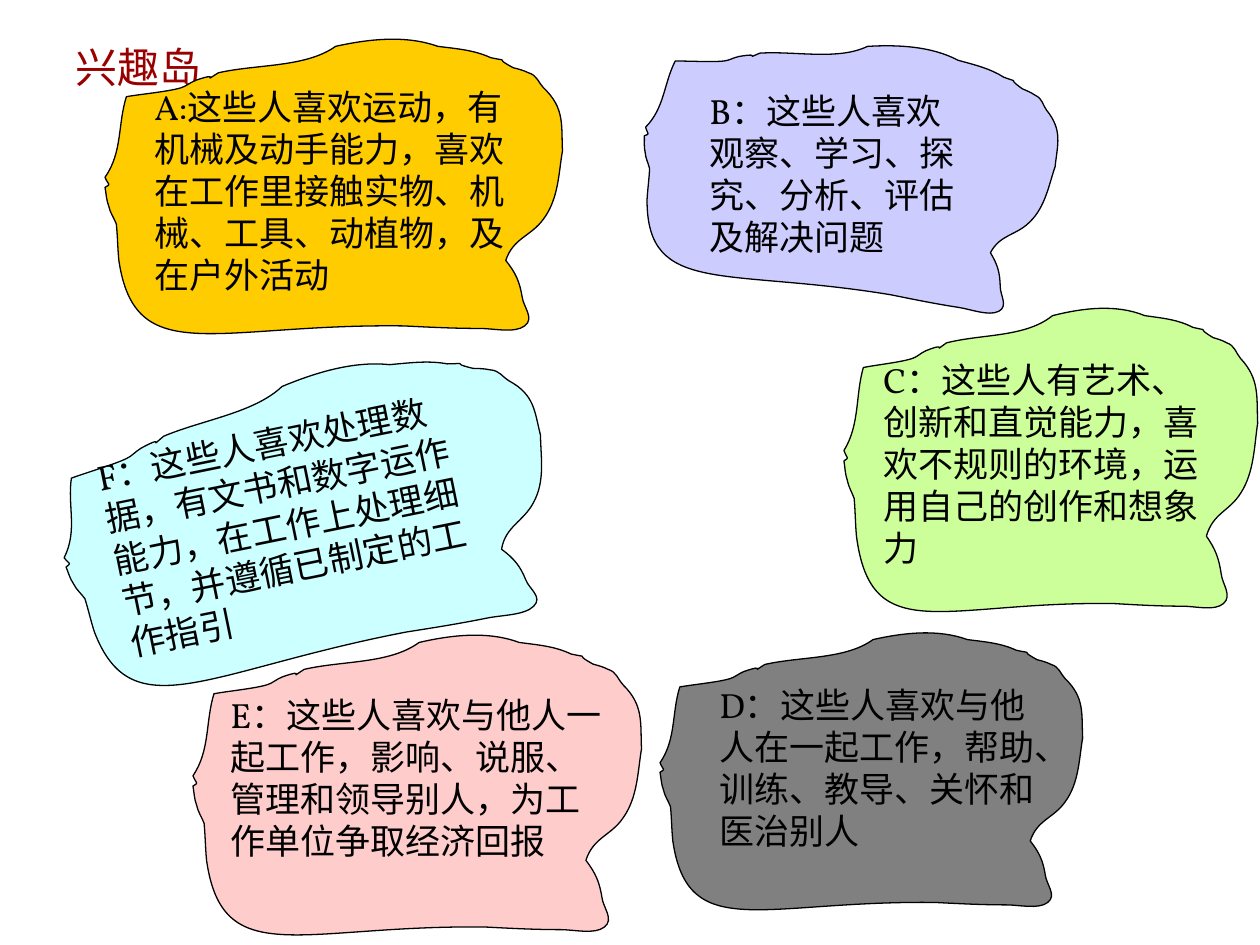
from pptx import Presentation
from pptx.dml.color import RGBColor
from pptx.enum.text import MSO_ANCHOR, MSO_AUTO_SIZE
from pptx.oxml.ns import qn
from pptx.util import Emu, Pt
from lxml.etree import SubElement

EMU_PER_PX = 914400 / 126

# Island outline on a 365 x 266 grid: start point, then three points per curve
OUTLINE_WIDTH, OUTLINE_HEIGHT = 365, 266
START = (0, 121)
CURVES = [
    [(1, 126), (1, 131), (3, 136)],
    [(4, 141), (7, 145), (9, 150)],
    [(10, 160), (10, 169), (11, 179)],
    [(24, 266), (88, 229), (237, 231)],
    [(257, 232), (277, 233), (297, 233)],
    [(309, 233), (325, 237), (333, 231)],
    [(341, 225), (332, 216), (331, 208)],
    [(329, 196), (326, 189), (318, 179)],
    [(324, 161), (338, 160), (348, 146)],
    [(360, 130), (360, 109), (363, 92)],
    [(362, 72), (365, 58), (348, 42)],
    [(344, 38), (343, 32), (336, 30)],
    [(332, 28), (328, 27), (324, 26)],
    [(305, 16), (325, 22), (306, 18)],
    [(293, 12), (280, 11), (264, 9)],
    [(239, 0), (210, 3), (183, 9)],
    [(159, 26), (121, 23), (90, 30)],
    [(74, 40), (95, 28), (72, 36)],
    [(67, 38), (64, 41), (60, 42)],
    [(50, 45), (28, 47), (17, 49)],
    [(10, 71), (14, 93), (0, 113)],
    [(3, 120), (5, 118), START],
]

# Island box, island rotation, fill, text box, text rotation, text
ISLANDS = [
    ((105, 35, 460, 335), 0, "FFCC00", (142, 79, 394, 223), 0,
     "A:这些人喜欢运动，有机械及动手能力，喜欢在工作里接触实物、机械、工具、动植物，及在户外活动"),
    ((640, 35, 413, 290), 8.7, "CCCCFF", (697, 83, 284, 181), 0,
     "B：这些人喜欢观察、学习、探究、分析、评估及解决问题"),
    ((844, 304, 416, 345), 0, "CCFF99", (871, 352, 352, 223), 0,
     "C：这些人有艺术、创新和直觉能力，喜欢不规则的环境，运用自己的创作和想象力"),
    ((660, 629, 425, 315), 0, "808080", (707, 677, 349, 181), 0,
     "D：这些人喜欢与他人在一起工作，帮助、训练、教导、关怀和医治别人"),
    ((193, 631, 451, 341), 0, "FFCCCC", (218, 687, 403, 181), 0,
     "E：这些人喜欢与他人一起工作，影响、说服、管理和领导别人，为工作单位争取经济回报"),
    ((64, 373, 494, 318), -11.5, "CCFFFF", (98, 413, 388, 223), -11.5,
     "F：这些人喜欢处理数据，有文书和数字运作能力，在工作上处理细节，并遵循已制定的工作指引"),
]


def px(length):
    return Emu(round(length * EMU_PER_PX))


def color(hex_string):
    return RGBColor.from_string(hex_string)


def set_attributes(target, values):
    for name, value in values.items():
        setattr(target, name, value)


def add_text(shapes, box, text, font, font_color, frame, rotation=0):
    shape = shapes.add_textbox(*map(px, box))
    shape.rotation = rotation
    set_attributes(shape.text_frame, {"word_wrap": True, **frame})
    paragraph = shape.text_frame.paragraphs[0]
    run = paragraph.add_run()
    run.text = text
    set_attributes(run.font, font)
    run.font.color.rgb = color(font_color)


def bend_segments(shape):
    """Turn each three straight segments into one Bezier curve."""
    outline = shape._element.find(".//" + qn("a:path"))
    lines = outline.findall(qn("a:lnTo"))
    for first in range(0, len(lines), 3):
        curve = SubElement(outline, qn("a:cubicBezTo"))
        for line in lines[first:first + 3]:
            curve.append(line[0])
            outline.remove(line)
    outline.append(outline.find(qn("a:close")))


def add_outline(shapes, box, rotation, fill):
    left, top, width, height = box
    scale = (px(width) / OUTLINE_WIDTH, px(height) / OUTLINE_HEIGHT)
    builder = shapes.build_freeform(*START, scale=scale)
    builder.add_line_segments([point for curve in CURVES for point in curve], close=True)
    shape = builder.convert_to_shape(px(left), px(top))
    bend_segments(shape)
    shape.rotation = rotation
    shape.shadow.inherit = False
    shape.fill.solid()
    shape.fill.fore_color.rgb = color(fill)
    shape.line.color.rgb = color("000000")
    shape.line.width = Pt(0.75)


def add_island(slide, box, rotation, fill, text_box, text_rotation, text):
    shapes = slide.shapes.add_group_shape().shapes
    add_outline(shapes, box, rotation, fill)
    add_text(shapes, text_box, text, {"size": Pt(20), "name": "Vollkorn"}, "000000",
             {"auto_size": MSO_AUTO_SIZE.SHAPE_TO_FIT_TEXT}, text_rotation)


def main():
    presentation = Presentation()
    set_attributes(presentation, {"slide_width": px(1260), "slide_height": px(945)})
    slide = presentation.slides.add_slide(presentation.slide_layouts[6])

    # Title
    add_text(slide.shapes, (63, 38, 260, 58), "兴趣岛", {"size": Pt(24), "name": "Arial"},
             "990000", {"vertical_anchor": MSO_ANCHOR.MIDDLE})

    # Six interest islands
    for island in ISLANDS:
        add_island(slide, *island)

    presentation.save("out.pptx")


if __name__ == "__main__":
    main()
